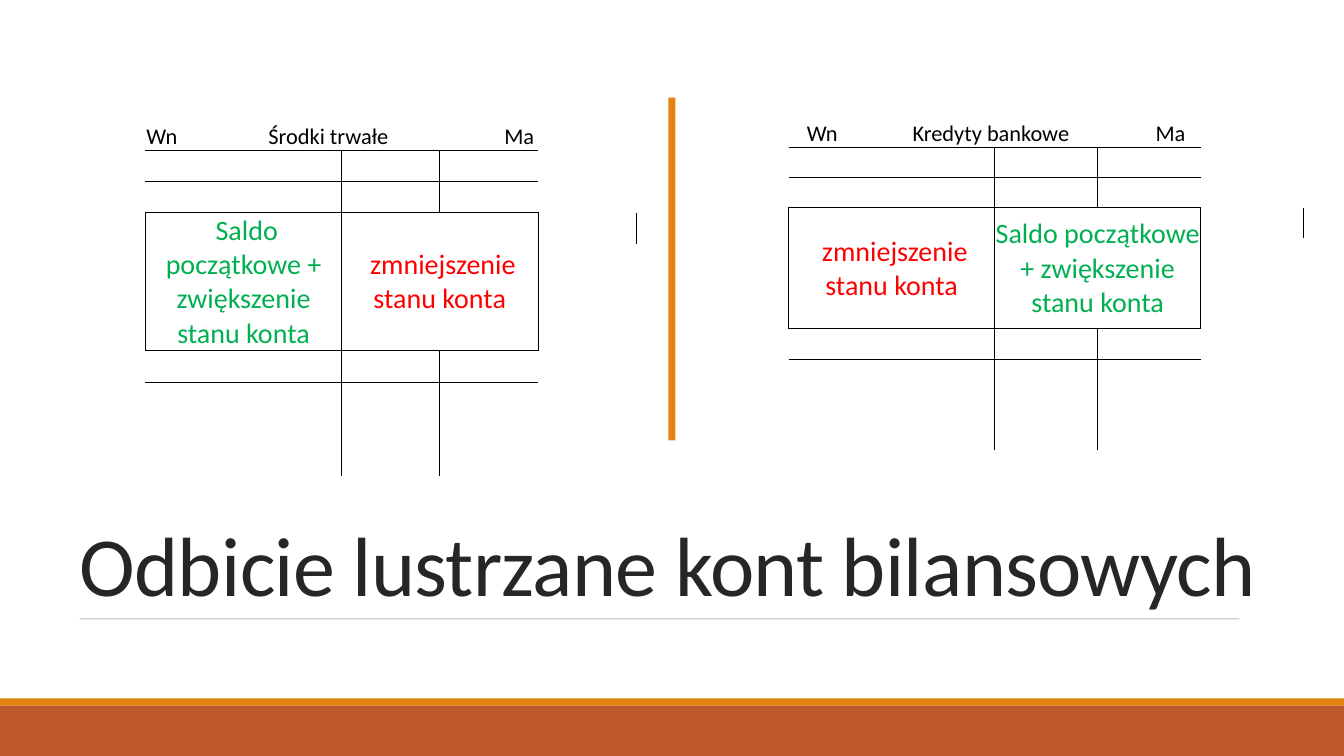
from dataclasses import dataclass

from lxml.etree import SubElement
from pptx import Presentation
from pptx.dml.color import RGBColor
from pptx.enum.shapes import MSO_CONNECTOR, MSO_SHAPE
from pptx.enum.text import MSO_ANCHOR, PP_ALIGN
from pptx.oxml.ns import qn
from pptx.util import Inches, Pt


@dataclass(frozen=True)
class Theme:
    font: str = "Calibri"
    text: str = "000000"
    title: str = "262626"
    increase: str = "00B050"
    decrease: str = "FF0000"
    orange: str = "E48312"
    rust: str = "BD582C"
    rule: str = "637052"
    title_size: int = 60
    box_size: int = 20
    heading_size: int = 16
    empty_size: int = 10


theme = Theme()
PLAIN_TABLE_STYLE = "{2D5ABB26-0587-4C30-8999-92F81FD0307C}"


def style_paragraph(paragraph, size, color):
    paragraph.font.name = theme.font
    paragraph.font.size = Pt(size)
    paragraph.font.color.rgb = RGBColor.from_string(color)


def add_border(cell, side):
    """Draw a thin black edge; side is L, R, T or B."""
    line = SubElement(cell._tc.get_or_add_tcPr(), qn(f"a:ln{side}"), w=str(Pt(0.5)))
    fill = SubElement(line, qn("a:solidFill"))
    SubElement(fill, qn("a:srgbClr"), val=theme.text)


presentation = Presentation()
presentation.slide_width = Inches(13.33)
presentation.slide_height = Inches(7.5)
slide = presentation.slides.add_slide(presentation.slide_layouts[5])

# Title
title = slide.shapes.title
title.left, title.top = Inches(0.69), Inches(4.98)
title.width, title.height = Inches(11.93), Inches(1.16)
title.text_frame.text = "Odbicie lustrzane kont bilansowych"
title.text_frame.vertical_anchor = MSO_ANCHOR.BOTTOM
title.text_frame.word_wrap = True
paragraph = title.text_frame.paragraphs[0]
paragraph.alignment = PP_ALIGN.LEFT
paragraph.line_spacing = 0.85
style_paragraph(paragraph, theme.title_size, theme.title)
paragraph.runs[0]._r.get_or_add_rPr().set("spc", "-50")

# Centre divider and footer bands
for left, top, width, height, color in (
    (6.63, 0.97, 0.07, 3.4, theme.orange),
    (0, 6.93, 13.33, 0.07, theme.orange),
    (0, 7, 13.33, 0.5, theme.rust),
):
    band = slide.shapes.add_shape(
        MSO_SHAPE.RECTANGLE, Inches(left), Inches(top), Inches(width), Inches(height)
    )
    band.shadow.inherit = False
    band.fill.solid()
    band.fill.fore_color.rgb = RGBColor.from_string(color)
    band.line.fill.background()

# Rule under the title
rule = slide.shapes.add_connector(
    MSO_CONNECTOR.STRAIGHT, Inches(0.79), Inches(6.14), Inches(12.29), Inches(6.14)
)
rule.line.width = Pt(0.5)
rule.line.color.rgb = RGBColor.from_string(theme.rule)
rule_color = rule.line._ln.find(".//" + qn("a:srgbClr"))
SubElement(rule_color, qn("a:alpha"), val="90000")
SubElement(rule._element.spPr, qn("a:effectLst"))

# T-accounts: left, top, column width, row heights, heading, indent, tab stops, boxes
increase = ("Saldo początkowe + zwiększenie stanu konta", theme.increase)
decrease = (" zmniejszenie stanu konta", theme.decrease)
accounts = (
    (0.47, 0.33, 0.973, [0.59, 0.57] + [0.31] * 11,
     "Wn\tŚrodki trwałe\tMa", 0.01, (1.21, 3.55),
     ((" " + increase[0], increase[1]), decrease)),
    (6.8, 0.86, 1.022, [0.3] * 14,
     "Wn\tKredyty bankowe\tMa", 0.18, (1.05, 3.46),
     (decrease, increase)),
)
COLUMNS = 6
HEADING_ROW, BOX_ROW = 1, 4
HORIZONTAL_EDGES = (2, 4, 8)
VERTICAL_EDGES = {1: range(4, 8), 3: range(2, 12), 5: range(4, 8)}

for left, top, column_width, row_heights, heading, indent, tab_stops, boxes in accounts:
    frame = slide.shapes.add_table(
        len(row_heights), COLUMNS, Inches(left), Inches(top),
        Inches(column_width * COLUMNS), Inches(sum(row_heights)),
    )
    table = frame.table
    table.first_row = table.horz_banding = False
    table._tbl.tblPr.find(qn("a:tableStyleId")).text = PLAIN_TABLE_STYLE
    for column in table.columns:
        column.width = Inches(column_width)
    for row, height in zip(table.rows, row_heights):
        row.height = Inches(height)

    for row in range(len(row_heights)):
        for column in range(COLUMNS):
            cell = table.cell(row, column)
            cell.margin_left = cell.margin_right = cell.margin_top = Inches(0.01)
            cell.margin_bottom = 0
            inside = 1 <= column <= 4
            edges = {
                "L": row in VERTICAL_EDGES.get(column, ()),
                "R": row in VERTICAL_EDGES.get(column + 1, ()),
                "T": inside and row in HORIZONTAL_EDGES,
                "B": inside and row + 1 in HORIZONTAL_EDGES,
            }
            for side, drawn in edges.items():
                if drawn:
                    add_border(cell, side)
            cell.fill.background()
            style_paragraph(cell.text_frame.paragraphs[0], theme.empty_size, theme.text)

    heading_cell = table.cell(HEADING_ROW, 1)
    heading_cell.merge(table.cell(HEADING_ROW, 4))
    heading_cell.text = heading
    heading_cell.margin_left = Inches(indent)
    heading_cell.vertical_anchor = MSO_ANCHOR.BOTTOM
    paragraph = heading_cell.text_frame.paragraphs[0]
    properties = paragraph._p.get_or_add_pPr()
    tab_list = SubElement(properties, qn("a:tabLst"))
    properties.insert(0, tab_list)
    for position in tab_stops:
        SubElement(tab_list, qn("a:tab"), pos=str(Inches(position)), algn="l")
    style_paragraph(paragraph, theme.heading_size, theme.text)

    for column, (text, color) in zip((1, 3), boxes):
        box = table.cell(BOX_ROW, column)
        box.merge(table.cell(BOX_ROW + 3, column + 1))
        box.text = text
        box.vertical_anchor = MSO_ANCHOR.MIDDLE
        paragraph = box.text_frame.paragraphs[0]
        paragraph.alignment = PP_ALIGN.CENTER
        style_paragraph(paragraph, theme.box_size, color)

presentation.save("out.pptx")
